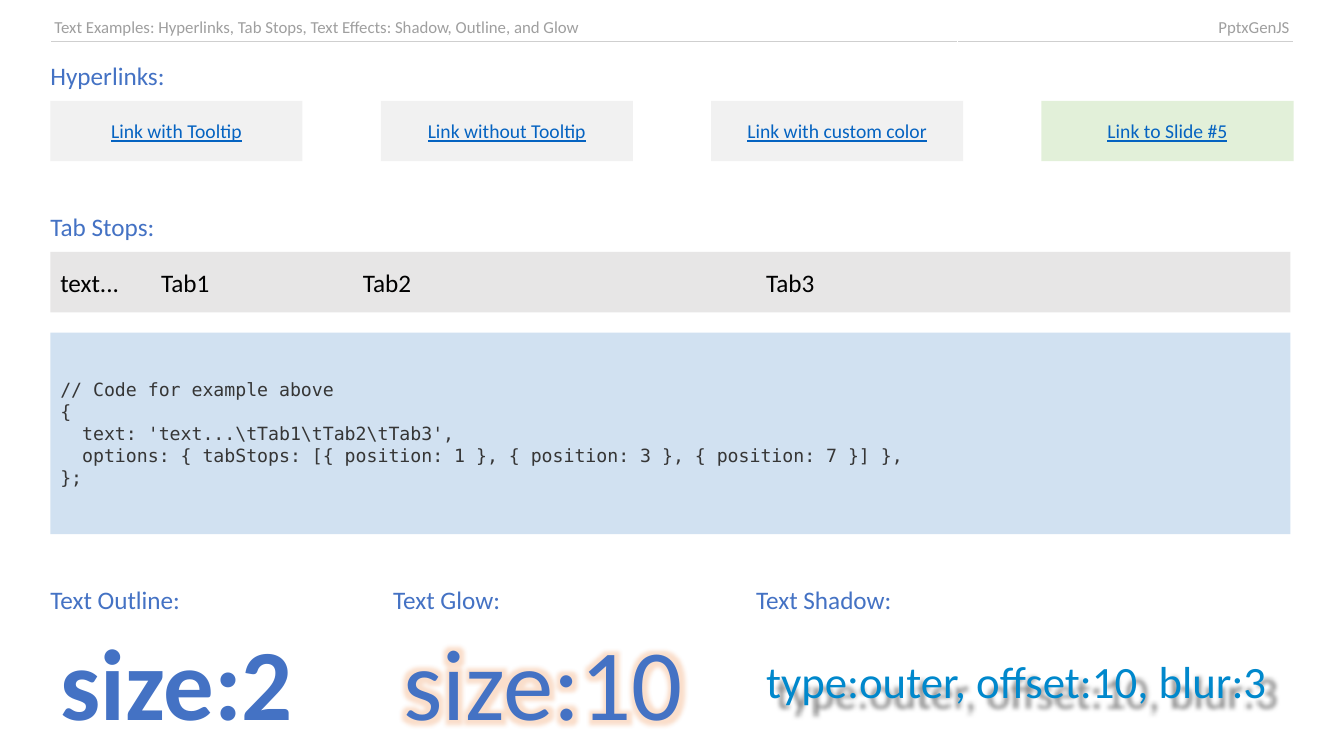
from dataclasses import dataclass

from lxml import etree
from pptx import Presentation
from pptx.dml.color import RGBColor
from pptx.enum.shapes import MSO_SHAPE
from pptx.enum.text import MSO_ANCHOR, PP_ALIGN
from pptx.oxml import parse_xml
from pptx.oxml.ns import nsdecls, qn
from pptx.util import Inches, Pt

RECTANGLE = MSO_SHAPE.RECTANGLE
MIDDLE = MSO_ANCHOR.MIDDLE
LEFT, CENTER, RIGHT = PP_ALIGN.LEFT, PP_ALIGN.CENTER, PP_ALIGN.RIGHT

HEADER = [
    ("Text Examples: Hyperlinks, Tab Stops, Text Effects: Shadow, Outline, and Glow", 9, LEFT),
    ("PptxGenJS", 3.33, RIGHT),
]
HEADINGS = [
    ("Hyperlinks:", 0.5, 0.6, 12),
    ("Tab Stops:", 0.5, 2.1, 12),
    ("Text Outline:", 0.5, 5.8, 3),
    ("Text Glow:", 3.9, 5.8, 5),
    ("Text Shadow:", 7.5, 5.8, 5),
]
LINKS = ["Link with Tooltip", "Link without Tooltip", "Link with custom color", "Link to Slide #5"]
TAB_TEXT = "text...\tTab1\tTab2\tTab3"
TAB_STOPS = [1, 3, 7]
CODE = [
    "// Code for example above",
    "{",
    r"  text: 'text...\tTab1\tTab2\tTab3',",
    "  options: { tabStops: [{ position: 1 }, { position: 3 }, { position: 7 }] },",
    "};",
]


@dataclass(frozen=True)
class Theme:
    font: str = "Calibri"
    mono: str = "DejaVu Sans Mono"
    header: str = "9F9F9F"
    rule: str = "CFCFCF"
    accent: str = "4472C4"
    link: str = "0563C1"
    link_fill: str = "F1F1F1"
    slide_link_fill: str = "E2F0D9"
    tab_text: str = "000000"
    tab_fill: str = "E7E6E6"
    code_text: str = "363636"
    code_fill: str = "D1E1F1"
    outline: str = "FFC000"
    glow: str = "ED7D31"
    shadow_text: str = "0088CC"
    shadow: str = "000000"
    header_size: float = 12
    heading_size: float = 18
    link_size: float = 14
    code_size: float = 13
    sample_size: float = 72
    shadow_size: float = 32


THEME = Theme()


def solid_fill(color, alpha=100):
    return (f'<a:solidFill {nsdecls("a")}><a:srgbClr val="{color}">'
            f'<a:alpha val="{alpha * 1000}"/></a:srgbClr></a:solidFill>')


def line_xml(tag, color, width):
    return parse_xml(f'<a:{tag} {nsdecls("a")} w="{Pt(width)}">{solid_fill(color)}</a:{tag}>')


def effect_xml(tag, color, alpha, **attributes):
    settings = " ".join(f'{key}="{value}"' for key, value in attributes.items())
    return parse_xml(f'<a:effectLst {nsdecls("a")}><a:{tag} {settings}><a:srgbClr val="{color}">'
                     f'<a:alpha val="{alpha * 1000}"/></a:srgbClr></a:{tag}></a:effectLst>')


def write(frame, text, size, color, font=THEME.font, align=LEFT, bold=False, underline=False):
    for index, line in enumerate(text.split("\n")):
        para = frame.paragraphs[0] if index == 0 else frame.add_paragraph()
        para.alignment = align
        span = para.add_run()
        span.text = line
        span.font.size = Pt(size)
        span.font.name = font
        span.font.bold = bold
        span.font.underline = underline
        span.font.color.rgb = RGBColor.from_string(color)
    return span


def add_box(slide, place, fill=None, margin=None):
    area = [Inches(value) for value in place]
    if fill:
        box = slide.shapes.add_shape(RECTANGLE, *area)
        box.shadow.inherit = False
        box.fill.solid()
        box.fill.fore_color.rgb = RGBColor.from_string(fill)
        box.line.fill.background()
    else:
        box = slide.shapes.add_textbox(*area)
    frame = box.text_frame
    frame.word_wrap = True
    frame.vertical_anchor = MIDDLE
    if margin is not None:
        frame.margin_left = frame.margin_right = Inches(margin)
        frame.margin_top = frame.margin_bottom = Inches(margin)
    return box


def add_header(slide):
    width = sum(column[1] for column in HEADER)
    table = slide.shapes.add_table(1, len(HEADER), Inches(0.5), Inches(0.13),
                                   Inches(width), Inches(0.28)).table
    table.first_row = table.horz_banding = False
    for index, (text, column_width, align) in enumerate(HEADER):
        table.columns[index].width = Inches(column_width)
        cell = table.cell(0, index)
        cell.margin_left = cell.margin_right = Inches(0.04)
        cell.margin_top = cell.margin_bottom = Inches(0.04)
        cell.fill.background()
        cell._tc.get_or_add_tcPr().insert(0, line_xml("lnB", THEME.rule, 1))
        write(cell.text_frame, text, THEME.header_size, THEME.header, align=align)


def add_links(slide):
    width = 2.5
    step = (12.33 - width) / (len(LINKS) - 1)
    for index, text in enumerate(LINKS):
        fill = THEME.slide_link_fill if index == len(LINKS) - 1 else THEME.link_fill
        box = add_box(slide, (0.5 + index * step, 1, width, 0.6), fill, 0.14)
        write(box.text_frame, text, THEME.link_size, THEME.link, align=CENTER, underline=True)


def add_tab_example(slide):
    box = add_box(slide, (0.5, 2.5, 12.3, 0.6), THEME.tab_fill)
    write(box.text_frame, TAB_TEXT, THEME.heading_size, THEME.tab_text)
    properties = box.text_frame.paragraphs[0]._p.get_or_add_pPr()
    tabs = etree.SubElement(properties, qn("a:tabLst"))
    for stop in TAB_STOPS:
        etree.SubElement(tabs, qn("a:tab"), pos=str(Inches(stop)), algn="l")

    box = add_box(slide, (0.5, 3.3, 12.3, 2), THEME.code_fill)
    write(box.text_frame, "\n".join(CODE), THEME.code_size, THEME.code_text, font=THEME.mono)


def add_effects(slide):
    box = add_box(slide, (0.5, 6.2, 3, 1.1))
    span = write(box.text_frame, "size:2", THEME.sample_size, THEME.accent, bold=True)
    span._r.get_or_add_rPr().insert(0, line_xml("ln", THEME.outline, 2))

    box = add_box(slide, (3.9, 6.2, 3, 1.1))
    span = write(box.text_frame, "size:10", THEME.sample_size, THEME.accent)
    glow = effect_xml("glow", THEME.glow, 25, rad=Pt(10))
    span._r.get_or_add_rPr().find(qn("a:solidFill")).addnext(glow)

    box = add_box(slide, (7.5, 6.2, 5.5, 1.1))
    write(box.text_frame, "type:outer, offset:10, blur:3", THEME.shadow_size, THEME.shadow_text)
    shadow = effect_xml("outerShdw", THEME.shadow, 50, blurRad=Pt(3), dist=Pt(10), dir=45 * 60000)
    box._element.spPr.append(shadow)


def main():
    deck = Presentation()
    deck.slide_width, deck.slide_height = Inches(13.33), Inches(7.5)
    slide = deck.slides.add_slide(deck.slide_layouts[6])
    add_header(slide)
    for text, left, top, width in HEADINGS:
        box = add_box(slide, (left, top, width, 0.3), margin=0)
        write(box.text_frame, text, THEME.heading_size, THEME.accent)
    add_links(slide)
    add_tab_example(slide)
    add_effects(slide)
    deck.save("out.pptx")


if __name__ == "__main__":
    main()
